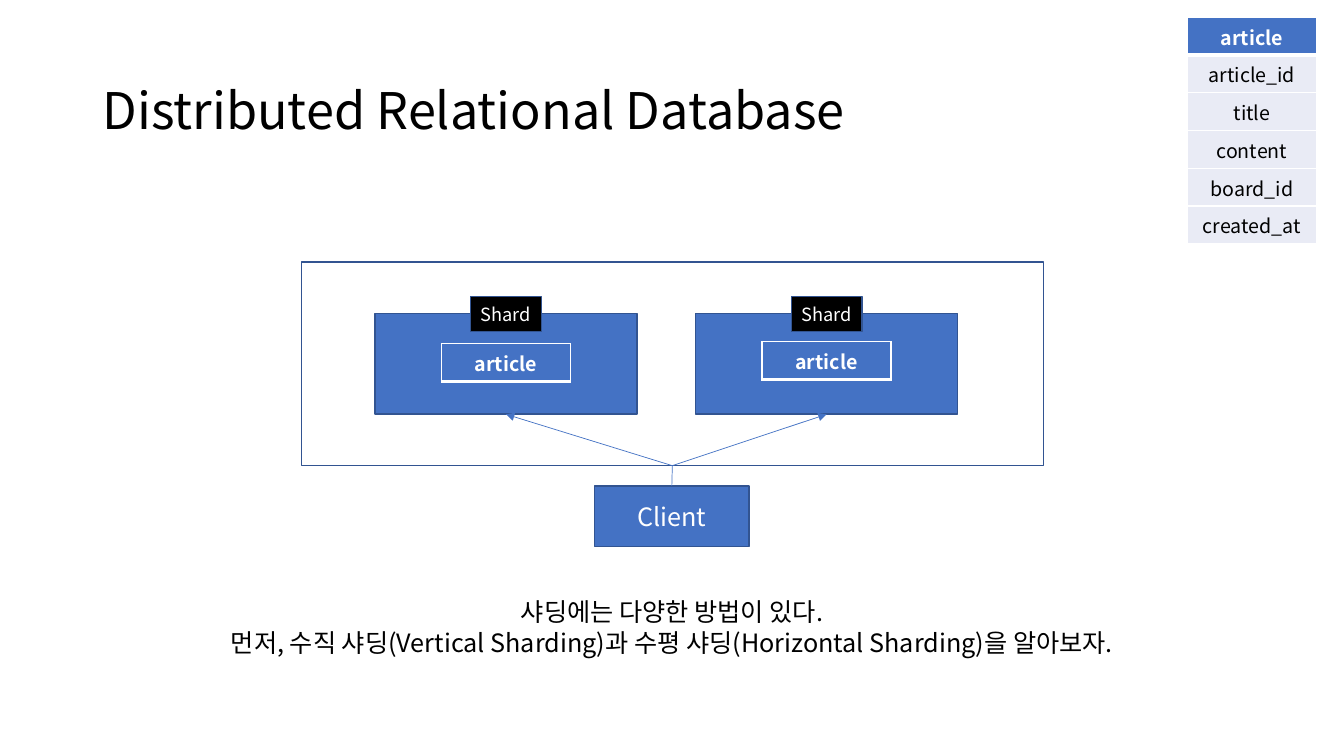
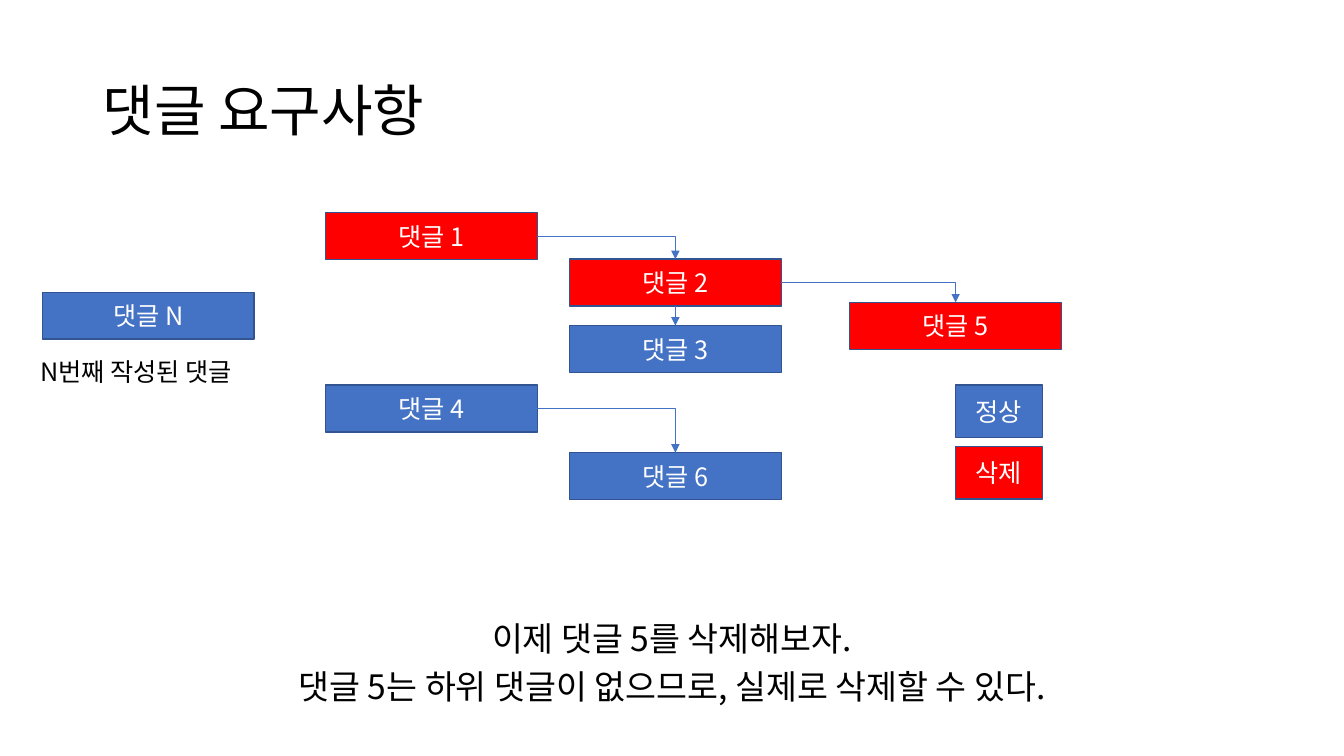
"""Build two slides on sharding and comment deletion."""
import pptx
import pptx.dml.color
import pptx.enum.shapes
import pptx.enum.text
import pptx.oxml
import pptx.oxml.ns
import pptx.util

COLOURS = {"blue": "4472C4", "edge": "325491", "red": "FF0000", "pale": "E9EBF5",
           "black": "000000", "white": "FFFFFF"}
FONT = "Noto Sans CJK KR"
ALIGN = pptx.enum.text.PP_ALIGN
ANCHOR = pptx.enum.text.MSO_ANCHOR
FIT = pptx.enum.text.MSO_AUTO_SIZE
CONNECTOR = pptx.enum.shapes.MSO_CONNECTOR
RECTANGLE = pptx.enum.shapes.MSO_SHAPE.RECTANGLE
TOP, BOTTOM, RIGHT = 0, 2, 3
COLUMNS, ROWS = 133.33, 75


def colour(name):
    return pptx.dml.color.RGBColor.from_string(COLOURS[name])


def add_xml(parent, tag, **attributes):
    child = pptx.oxml.parse_xml(f'<a:{tag} {pptx.oxml.ns.nsdecls("a")}/>')
    for key, value in attributes.items():
        child.set(key, str(value))
    parent.append(child)
    return child


class SlideBuilder:
    def __init__(self):
        self.deck = pptx.Presentation()
        self.deck.slide_width = pptx.util.Inches(13.33)
        self.deck.slide_height = pptx.util.Inches(7.5)
        self.slide = None

    def place(self, left, top, width, height):
        column = self.deck.slide_width / COLUMNS
        row = self.deck.slide_height / ROWS
        return [round(left * column), round(top * row),
                round(width * column), round(height * row)]

    def fill_text(self, frame, lines, size, ink="black", align=ALIGN.CENTER, spacing=1.0,
                  bold=False, **frame_format):
        for key, value in frame_format.items():
            setattr(frame, key, value)
        for number, line in enumerate(lines):
            para = frame.add_paragraph() if number else frame.paragraphs[0]
            para.alignment = align
            para.line_spacing = spacing
            span = para.add_run()
            span.text = line
            font_format = {"name": FONT, "size": pptx.util.Pt(size), "bold": bold}
            for key, value in font_format.items():
                setattr(span.font, key, value)
            span.font.color.rgb = colour(ink)
            add_xml(span.font._element, "ea", typeface=FONT)

    def add_slide(self, title, size):
        self.slide = self.deck.slides.add_slide(self.deck.slide_layouts[5])
        holder = self.slide.shapes.title
        bounds = self.place(9.2, 4, 115, 14.5)
        for key, value in zip(("left", "top", "width", "height"), bounds):
            setattr(holder, key, value)
        self.fill_text(holder.text_frame, [title], size, align=ALIGN.LEFT, spacing=0.9,
                       vertical_anchor=ANCHOR.MIDDLE, auto_size=FIT.NONE)

    def add_box(self, bounds, fill=None, text=None, size=18):
        box = self.slide.shapes.add_shape(RECTANGLE, *self.place(*bounds))
        box.shadow.inherit = False
        if fill:
            box.fill.solid()
            box.fill.fore_color.rgb = colour(fill)
        else:
            box.fill.background()
        box.line.color.rgb = colour("edge")
        box.line.width = pptx.util.Pt(1)
        if text:
            self.fill_text(box.text_frame, [text], size, "white",
                           vertical_anchor=ANCHOR.MIDDLE, word_wrap=False)
        return box

    def add_text(self, bounds, lines, size, wrap=True, **style):
        box = self.slide.shapes.add_textbox(*self.place(*bounds))
        self.fill_text(box.text_frame, lines, size, word_wrap=wrap,
                       auto_size=FIT.SHAPE_TO_FIT_TEXT, **style)

    def add_link(self, start, start_side, end, end_side, bent=False, arrow=True):
        kind = CONNECTOR.ELBOW if bent else CONNECTOR.STRAIGHT
        link = self.slide.shapes.add_connector(kind, 0, 0, 0, 0)
        link.begin_connect(start, start_side)
        link.end_connect(end, end_side)
        link.line.color.rgb = colour("blue")
        link.line.width = pptx.util.Pt(0.5)
        properties = link._element.spPr
        if bent:
            properties.find(pptx.oxml.ns.qn("a:prstGeom")).set("prst", "bentConnector2")
        if arrow:
            add_xml(properties.find(pptx.oxml.ns.qn("a:ln")), "tailEnd", type="triangle")
        add_xml(properties, "effectLst")

    def add_fields(self, left, top, names):
        row_height = 3.75
        bounds = self.place(left, top, 12.8, row_height * len(names))
        table = self.slide.shapes.add_table(len(names), 1, *bounds).table
        table.first_row = table.horz_banding = False
        for number, name in enumerate(names):
            heading = number == 0
            cell = table.cell(number, 0)
            widths = {"lnL": 1, "lnR": 1, "lnT": 3 if number == 1 else 1,
                      "lnB": 3 if heading else 1}
            for tag, width in widths.items():
                border = add_xml(cell._tc.get_or_add_tcPr(), tag, w=pptx.util.Pt(width))
                add_xml(add_xml(border, "solidFill"), "srgbClr", val=COLOURS["white"])
            cell.fill.solid()
            cell.fill.fore_color.rgb = colour("blue" if heading else "pale")
            self.fill_text(cell.text_frame, [name], 14, "white" if heading else "black",
                           bold=heading)


def build_sharding(builder):
    builder.add_slide("Distributed Relational Database", 36)
    builder.add_text((0, 58.7, COLUMNS, 7.1),
                     ["샤딩에는 다양한 방법이 있다.",
                      "먼저, 수직 샤딩(Vertical Sharding)과 수평 샤딩(Horizontal Sharding)을 알아보자."],
                     18)
    builder.add_fields(117.8, 1.7, ["article", "article_id", "title", "content",
                                    "board_id", "created_at"])
    frame = builder.add_box((29.9, 26, 73.6, 20.2))
    for left, table_top in ((37.2, 34.1), (69, 33.9)):
        shard = builder.add_box((left, 31.1, 26, 10), "blue")
        builder.add_fields(left + 6.6, table_top, ["article"])
        builder.add_box((left + 9.5, 29.4, 7, 3.5), "black", "Shard", 13)
        builder.add_link(frame, BOTTOM, shard, BOTTOM)
    client = builder.add_box((59, 48.2, 15.3, 6), "blue", "Client")
    builder.add_link(frame, BOTTOM, client, TOP, arrow=False)


def build_comments(builder):
    builder.add_slide("댓글 요구사항", 40)
    comments = {}
    for name, left, top, fill in (("1", 32.3, 21.1, "red"), ("2", 56.5, 25.7, "red"),
                                  ("5", 84.3, 30, "red"), ("4", 32.3, 38.2, "blue"),
                                  ("3", 56.5, 32.3, "blue"), ("6", 56.5, 44.9, "blue"),
                                  ("N", 4.2, 29, "blue")):
        comments[name] = builder.add_box((left, top, 21, 4.65), fill, f"댓글 {name}")
    for parent, reply in (("1", "2"), ("2", "5"), ("4", "6")):
        builder.add_link(comments[parent], RIGHT, comments[reply], TOP, bent=True)
    builder.add_link(comments["2"], BOTTOM, comments["3"], TOP)
    for number, (state, fill) in enumerate((("정상", "blue"), ("삭제", "red"))):
        builder.add_box((94.8, 38.2 + 6.1 * number, 8.6, 5.2), fill, state)
    builder.add_text((3, 34.9, 23.4, 4), ["N번째 작성된 댓글"], 18, wrap=False,
                     align=ALIGN.LEFT)
    builder.add_text((0, 60, COLUMNS, 10.2),
                     ["이제 댓글 5를 삭제해보자.",
                      "댓글 5는 하위 댓글이 없으므로, 실제로 삭제할 수 있다."],
                     24, spacing=1.2)


def main():
    builder = SlideBuilder()
    build_sharding(builder)
    build_comments(builder)
    builder.deck.save("out.pptx")


if __name__ == "__main__":
    main()
